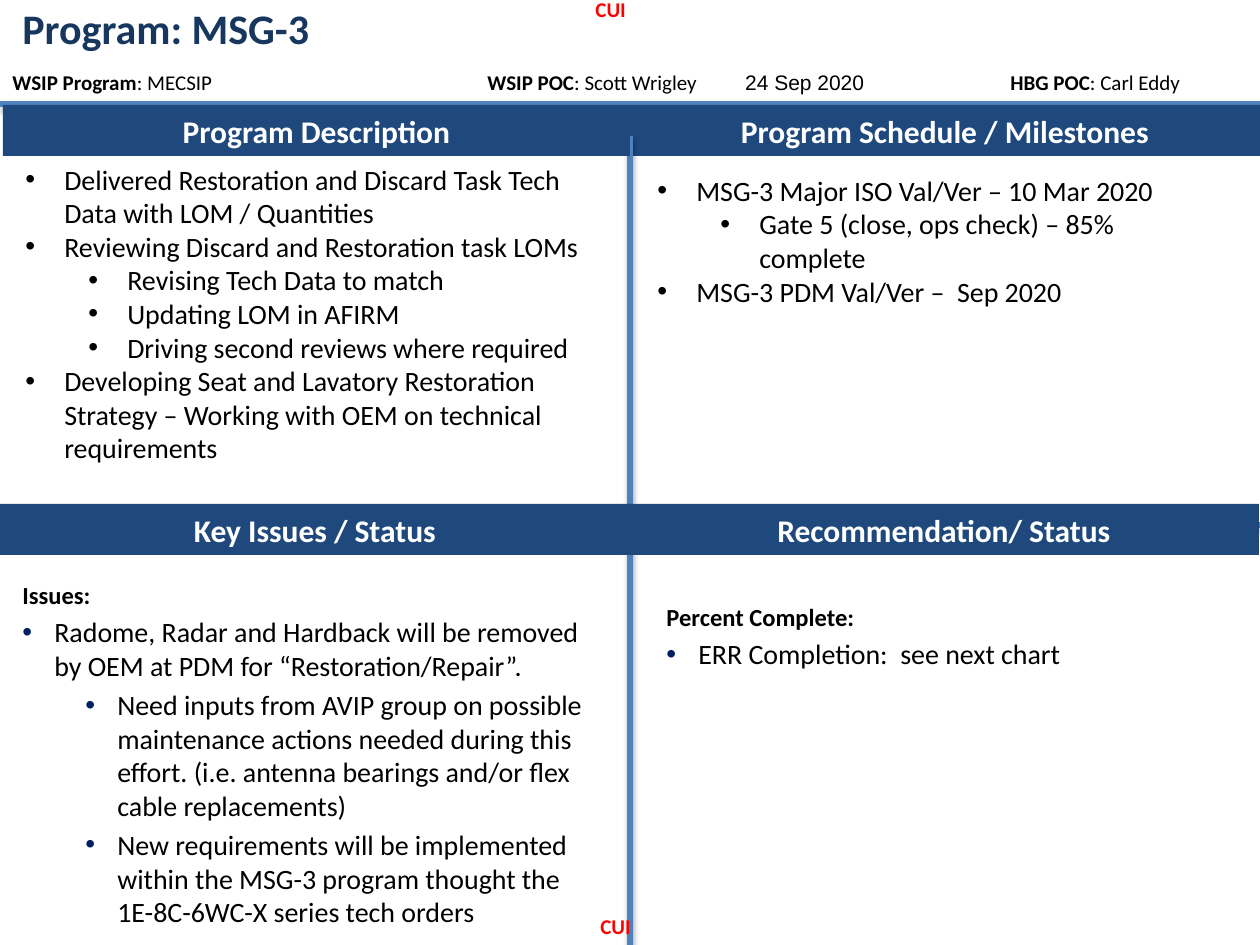
import pptx
import pptx.dml.color
import pptx.enum.shapes
import pptx.enum.text
import pptx.oxml
import pptx.oxml.ns
import pptx.util
from lxml import etree

SCALE = 914400 / 126
FONT = "Calibri"
NAVY, BLUE, TITLE, BULLET = "1F497D", "4F81BD", "17375E", "002060"
BLACK, WHITE, RED = "000000", "FFFFFF", "FF0000"


def px(n):
    """Turn pixels into EMU."""
    return pptx.util.Emu(round(n * SCALE))


def rgb(value):
    """Turn a hex string into a colour."""
    return pptx.dml.color.RGBColor.from_string(value)


def add_run(p, text, size=12, color=BLACK, bold=False, font=FONT):
    """Add one formatted run to a paragraph."""
    r = p.add_run()
    r.text = text
    r.font.size, r.font.bold, r.font.name = pptx.util.Pt(size), bold, font
    r.font.color.rgb = rgb(color)


def set_indent(p, left, hanging):
    """Set a hanging indent on a paragraph."""
    pPr = p._p.get_or_add_pPr()
    pPr.set("marL", str(px(left)))
    pPr.set("indent", str(-px(hanging)))


def add_bullet(p, left, hanging, color=None):
    """Give a paragraph a round bullet."""
    set_indent(p, left, hanging)
    pPr = p._p.get_or_add_pPr()
    if color:
        clr = etree.SubElement(pPr, pptx.oxml.ns.qn("a:buClr"))
        etree.SubElement(clr, pptx.oxml.ns.qn("a:srgbClr"), val=color)
    etree.SubElement(pPr, pptx.oxml.ns.qn("a:buFont"), typeface="Arial")
    etree.SubElement(pPr, pptx.oxml.ns.qn("a:buChar"), char="•")


def add_box(s, x, y, w, h, wrap=True):
    """Add an empty text box and return its text frame."""
    tf = s.shapes.add_textbox(px(x), px(y), px(w), px(h)).text_frame
    tf.word_wrap = wrap
    tf.auto_size = pptx.enum.text.MSO_AUTO_SIZE.SHAPE_TO_FIT_TEXT
    return tf


def add_label(s, x, y, w, *runs):
    """Add a one-line label made of (text, format) runs."""
    p = add_box(s, x, y, w, 38, wrap=False).paragraphs[0]
    for text, fmt in runs:
        add_run(p, text, **fmt)


def add_title(s, text):
    """Add the slide title."""
    p = add_box(s, 10, 6, 1260, 54).paragraphs[0]
    set_indent(p, 291, 291)
    p.line_spacing = pptx.util.Pt(23)
    add_run(p, text, size=24, color=TITLE, bold=True)


def add_header(s, x, y, w, text):
    """Add a quadrant heading bar."""
    sp = s.shapes.add_shape(pptx.enum.shapes.MSO_SHAPE.RECTANGLE, px(x), px(y), px(w), px(51))
    sp.shadow.inherit = False
    sp.fill.solid()
    sp.fill.fore_color.rgb = rgb(NAVY)
    sp.line.fill.background()
    p = sp.text_frame.paragraphs[0]
    p.alignment = pptx.enum.text.PP_ALIGN.CENTER
    add_run(p, text, size=18, color=WHITE, bold=True)


def add_rule(s, x1, y1, x2, y2):
    """Add a dividing line with a soft shadow below."""
    line = s.shapes.add_connector(
        pptx.enum.shapes.MSO_CONNECTOR.STRAIGHT, px(x1), px(y1), px(x2), px(y2))
    line.line.color.rgb = rgb(BLUE)
    line.line.width = pptx.util.Pt(3)
    line._element.spPr.append(pptx.oxml.parse_xml(
        f'<a:effectLst {pptx.oxml.ns.nsdecls("a")}>'
        '<a:outerShdw blurRad="39370" dist="22860" dir="5400000" rotWithShape="0">'
        '<a:srgbClr val="000000"><a:alpha val="35000"/></a:srgbClr>'
        '</a:outerShdw></a:effectLst>'))


def add_list(s, x, y, w, h, items, middle=False):
    """Add a two-level bulleted list."""
    tf = add_box(s, x, y, w, h)
    if middle:
        tf.vertical_anchor = pptx.enum.text.MSO_ANCHOR.MIDDLE
    for i, (level, text) in enumerate(items):
        p = tf.add_paragraph() if i else tf.paragraphs[0]
        p.level = level
        add_bullet(p, 39 + 63 * level, 39)
        add_run(p, text, size=16)


def add_status(s, x, y, w, h, heading, items):
    """Add a bold heading followed by spaced bullets."""
    tf = add_box(s, x, y, w, h)
    p = tf.paragraphs[0]
    p.line_spacing = 1.5
    add_run(p, heading, size=14, bold=True)
    for level, text in items:
        p = tf.add_paragraph()
        p.level = level
        p.space_before = pptx.util.Pt(3.2)
        add_bullet(p, 32 + 63 * (level - 1), 32, BULLET)
        add_run(p, text, size=16)


def main():
    """Build and save the slide."""
    prs = pptx.Presentation()
    prs.slide_width, prs.slide_height = px(1260), px(945)
    s = prs.slides.add_slide(prs.slide_layouts[6])
    bold, marking = {"bold": True}, {"bold": True, "color": RED}

    add_title(s, "Program: MSG-3")
    add_label(s, 0, 63, 232, ("WSIP Program", bold), (": MECSIP", {}))
    add_label(s, 475, 63, 534, ("WSIP POC", bold), (": Scott Wrigley\t", {}),
              (" 24 Sep 2020 \t", {"font": "Arial"}))
    add_label(s, 998, 63, 197, ("HBG POC", bold), (": Carl Eddy", {}))

    add_rule(s, 0, 104, 1260, 104)
    add_header(s, 630, 105, 630, "Program Schedule / Milestones")
    add_rule(s, 0, 525, 1260, 525)
    add_rule(s, 630, 945, 630, 136)
    add_header(s, 0, 504, 630, "Key Issues / Status")
    add_header(s, 3, 105, 627, "Program Description")
    add_header(s, 629, 504, 630, "Recommendation/ Status")

    add_list(s, 13, 156, 602, 352, [
        (0, "Delivered Restoration and Discard Task Tech Data with LOM / Quantities"),
        (0, "Reviewing Discard and Restoration task LOMs"),
        (1, "Revising Tech Data to match"),
        (1, "Updating LOM in AFIRM"),
        (1, "Driving second reviews where required"),
        (0, "Developing Seat and Lavatory Restoration Strategy – Working with OEM "
            "on technical requirements"),
    ])
    add_status(s, 654, 581, 588, 98, "Percent Complete:", [
        (1, "ERR Completion:  see next chart"),
    ])
    add_label(s, 583, -10, 57, ("CUI", marking))
    add_label(s, 588, 907, 57, ("CUI", marking))
    add_list(s, 645, 166, 588, 149, [
        (0, "MSG-3 Major ISO Val/Ver – 10 Mar 2020"),
        (1, "Gate 5 (close, ops check) – 85% complete"),
        (0, "MSG-3 PDM Val/Ver –  Sep 2020"),
    ], middle=True)
    add_status(s, 10, 559, 605, 423, "Issues:", [
        (1, "Radome, Radar and Hardback will be removed by OEM at PDM for “Restoration/Repair”."),
        (2, "Need inputs from AVIP group on possible maintenance actions needed during this "
            "effort. (i.e. antenna bearings and/or flex cable replacements)"),
        (2, "New requirements will be implemented within the MSG-3 program thought the "
            "1E-8C-6WC-X series tech orders"),
    ])
    prs.save("out.pptx")


if __name__ == "__main__":
    main()
